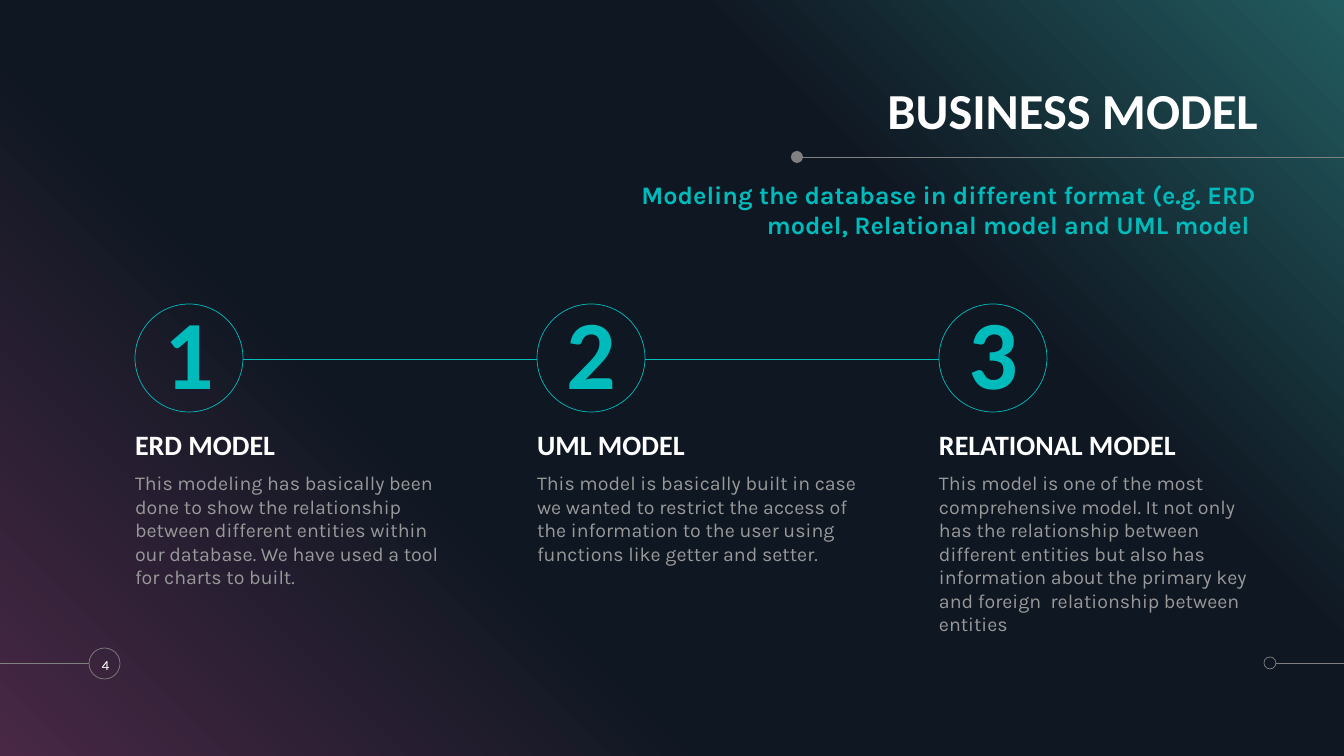
import copy

import pptx
import pptx.dml.color
import pptx.enum.shapes
import pptx.enum.text
import pptx.oxml.ns
import pptx.util
from lxml import etree

RGB = pptx.dml.color.RGBColor
SHAPE = pptx.enum.shapes.MSO_SHAPE
ALIGN = pptx.enum.text.PP_ALIGN
ANCHOR = pptx.enum.text.MSO_ANCHOR

# Content
TITLE = "BUSINESS MODEL"
SUBTITLE = ("Modeling the database in different format (e.g. ERD model, "
            "Relational model and UML model ")
PAGE = "4"
MODELS = [
    ("1", "ERD MODEL",
     "This modeling has basically been done to show the relationship between "
     "different entities within our database. We have used a tool for charts to built."),
    ("2", "UML MODEL",
     "This model is basically built in case we wanted to restrict the access of "
     "the information to the user using functions like getter and setter."),
    ("3", "RELATIONAL MODEL",
     "This model is one of the most comprehensive model. It not only has the "
     "relationship between different entities but also has information about the "
     "primary key and foreign  relationship between entities"),
]

# Style
WHITE = RGB(0xFF, 0xFF, 0xFF)
TEAL = RGB(0x00, 0xBB, 0xBB)
GRAY = RGB(0x80, 0x80, 0x80)
BODY_GRAY = RGB(0x99, 0x99, 0x99)
PLUM = RGB(0x48, 0x28, 0x45)
NAVY = RGB(0x0F, 0x17, 0x22)
DEEP_TEAL = RGB(0x22, 0x5B, 0x5F)
BACKDROP = [(0, PLUM), (0.34, NAVY), (0.69, NAVY), (1, DEEP_TEAL)]
HEAD_FONT, BODY_FONT = "Calibri", "Karla"

# Layout in px
WIDTH, HEIGHT = 1344, 756
LEFT, PITCH, COLUMN = 135, 402, 325
CIRCLE, CIRCLE_TOP = 108, 304
LINK_Y = 359


def px(n):
    return pptx.util.Emu(round(n * 914400 / 100.8))


def write(sp, text, font, size, color, bold=False, align=ALIGN.LEFT,
          anchor=ANCHOR.TOP, before=0, spacing=1.0):
    tf = sp.text_frame
    tf.word_wrap = True
    tf.auto_size = pptx.enum.text.MSO_AUTO_SIZE.NONE
    tf.vertical_anchor = anchor
    tf.margin_left = tf.margin_top = tf.margin_right = tf.margin_bottom = 0
    p = tf.paragraphs[0]
    p.alignment = align
    p.space_before = pptx.util.Pt(before)
    p.line_spacing = spacing
    r = p.add_run()
    r.text = text
    r.font.name = font
    r.font.size = pptx.util.Pt(size)
    r.font.bold = bold
    r.font.color.rgb = color


def text_box(s, box, *args, **kwargs):
    write(s.shapes.add_textbox(*map(px, box)), *args, **kwargs)


def circle(s, x, y, size, line=None, fill=None):
    sp = s.shapes.add_shape(SHAPE.OVAL, px(x), px(y), px(size), px(size))
    sp.shadow.inherit = False
    if fill is None:
        sp.fill.background()
    else:
        sp.fill.solid()
        sp.fill.fore_color.rgb = fill
    if line is None:
        sp.line.fill.background()
    else:
        sp.line.color.rgb = line
        sp.line.width = pptx.util.Pt(0.5)
    return sp


def rule(s, x1, x2, y, color):
    cn = s.shapes.add_connector(pptx.enum.shapes.MSO_CONNECTOR.STRAIGHT,
                                px(x1), px(y), px(x2), px(y))
    cn.line.color.rgb = color
    cn.line.width = pptx.util.Pt(0.5)
    etree.SubElement(cn.element.spPr, pptx.oxml.ns.qn("a:effectLst"))


def paint_background(s):
    fill = s.background.fill
    fill.gradient()
    fill.gradient_angle = 45
    stops = s.element.find(".//" + pptx.oxml.ns.qn("a:gsLst"))
    while len(stops) < len(BACKDROP):
        stops.append(copy.deepcopy(stops[0]))
    for stop, (position, color) in zip(fill.gradient_stops, BACKDROP):
        stop.position = position
        stop.color.rgb = color


def main():
    prs = pptx.Presentation()
    prs.slide_width, prs.slide_height = px(WIDTH), px(HEIGHT)
    s = prs.slides.add_slide(prs.slide_layouts[5])
    paint_background(s)

    # Title and subtitle
    title = s.shapes.title
    title.left, title.top, title.width, title.height = map(px, (562, 78, 696, 62))
    write(title, TITLE, HEAD_FONT, 36, WHITE, True, ALIGN.RIGHT,
          ANCHOR.BOTTOM, spacing=0.9)
    rule(s, 800, WIDTH, 157, GRAY)
    circle(s, 791, 151, 12, fill=GRAY)
    text_box(s, (562, 179, 694, 62), SUBTITLE, BODY_FONT, 18, TEAL, True,
             ALIGN.RIGHT, before=10)

    # Numbered models, linked by lines
    for i, (number, name, description) in enumerate(MODELS):
        x = LEFT + i * PITCH
        if i:
            rule(s, x - PITCH + CIRCLE, x, LINK_Y, TEAL)
        sp = circle(s, x, CIRCLE_TOP, CIRCLE, line=TEAL)
        write(sp, number, HEAD_FONT, 70, TEAL, True, ALIGN.CENTER,
              ANCHOR.MIDDLE, before=10, spacing=0.9)
        text_box(s, (x, 426, COLUMN, 36), name, HEAD_FONT, 20, WHITE, True,
                 anchor=ANCHOR.BOTTOM, before=6, spacing=0.9)
        text_box(s, (x, 471, COLUMN, 156), description, BODY_FONT, 14,
                 BODY_GRAY, before=6)

    # Footer
    rule(s, 0, 89, 663, GRAY)
    circle(s, 89, 648, 31, line=GRAY)
    text_box(s, (86, 648, 39, 33), PAGE, BODY_FONT, 10, WHITE,
             align=ALIGN.CENTER, anchor=ANCHOR.MIDDLE)
    rule(s, 1276, WIDTH, 663, GRAY)
    circle(s, 1264, 657, 12, line=GRAY)

    prs.save("out.pptx")


if __name__ == "__main__":
    main()
